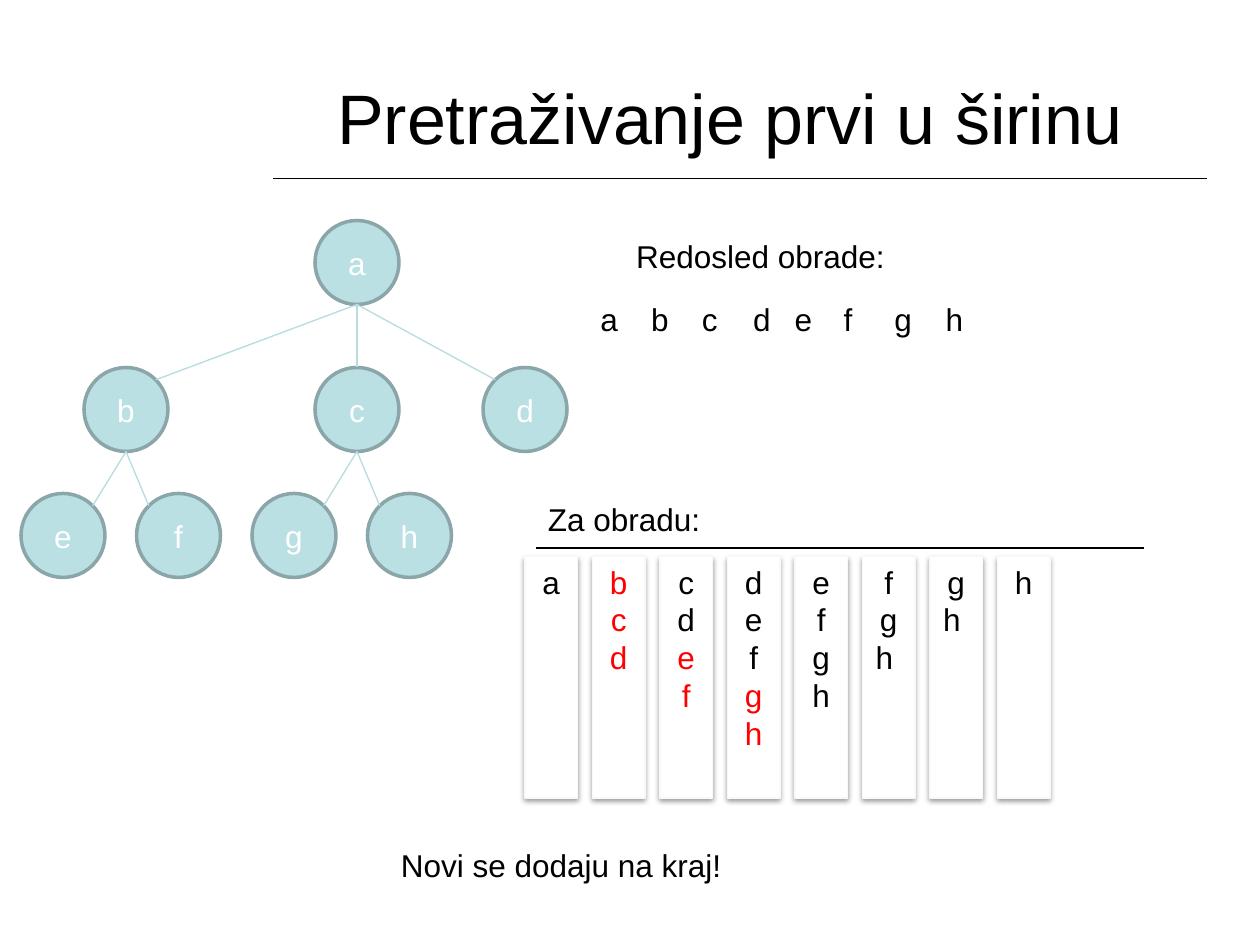
from dataclasses import dataclass
from math import sqrt
from typing import Any

from lxml.etree import SubElement
from pptx import Presentation
from pptx.dml.color import RGBColor
from pptx.enum.shapes import MSO_CONNECTOR, MSO_SHAPE
from pptx.enum.text import MSO_ANCHOR, PP_ALIGN
from pptx.oxml.ns import qn
from pptx.util import Pt


@dataclass(frozen=True)
class Theme:
    font: str = "Arial"
    head: float = 40
    body: float = 18
    ink: str = "000000"
    fresh: str = "FF0000"
    paper: str = "FFFFFF"
    edge: str = "F9F9F9"
    node: str = "BBE0E3"
    ring: str = "8AA6A8"
    link: str = "B6DCDF"


@dataclass(frozen=True)
class Node:
    name: str
    left: float
    top: float
    boss: str = ""


@dataclass(frozen=True)
class Label:
    text: str
    left: float
    top: float
    width: float


@dataclass(frozen=True)
class Queue:
    old: list[str]
    new: list[str]


theme = Theme()
deck = Presentation()
deck.slide_width, deck.slide_height = Pt(720), Pt(540)
slide = deck.slides.add_slide(deck.slide_layouts[6])


def apply(target: Any, form: dict[str, Any]) -> None:
    for key, value in form.items():
        setattr(target, key, value)


def write(frame: Any, rows: list[tuple[str, str]], size: float, align: Any) -> None:
    for i, (text, color) in enumerate(rows):
        para = frame.paragraphs[0] if i == 0 else frame.add_paragraph()
        para.alignment = align
        run = para.add_run()
        run.text = text
        apply(run.font, {"name": theme.font, "size": Pt(size)})
        run.font.color.rgb = RGBColor.from_string(color)


def add_label(label: Label) -> None:
    box = slide.shapes.add_textbox(Pt(label.left), Pt(label.top), Pt(label.width), Pt(29))
    box.text_frame.word_wrap = False
    write(box.text_frame, [(label.text, theme.ink)], theme.body, PP_ALIGN.LEFT)


def add_line(x1: float, y1: float, x2: float, y2: float, color: str) -> None:
    line = slide.shapes.add_connector(MSO_CONNECTOR.STRAIGHT, Pt(x1), Pt(y1), Pt(x2), Pt(y2))
    line.line.width = Pt(0.75)
    line.line.color.rgb = RGBColor.from_string(color)
    SubElement(line._element.spPr, qn("a:effectLst"))


def add_form(kind: Any, left: float, top: float, width: float, height: float,
             fill: str, edge: str, weight: float) -> Any:
    shape = slide.shapes.add_shape(kind, Pt(left), Pt(top), Pt(width), Pt(height))
    shape.shadow.inherit = False
    shape.fill.solid()
    shape.fill.fore_color.rgb = RGBColor.from_string(fill)
    shape.line.color.rgb = RGBColor.from_string(edge)
    shape.line.width = Pt(weight)
    return shape


def add_shade(shape: Any) -> None:
    effects = shape._element.spPr.find(qn("a:effectLst"))
    form = {"blurRad": Pt(3.1), "dist": Pt(1.6), "dir": 5400000, "rotWithShape": 0}
    shade = SubElement(effects, qn("a:outerShdw"), {k: str(int(v)) for k, v in form.items()})
    color = SubElement(shade, qn("a:srgbClr"), val=theme.ink)
    SubElement(color, qn("a:alpha"), val="38000")


# Title and its rule
title = slide.shapes.add_textbox(Pt(150), Pt(21.6), Pt(534), Pt(90))
apply(title.text_frame, {"word_wrap": True, "vertical_anchor": MSO_ANCHOR.MIDDLE})
write(title.text_frame, [("Pretraživanje prvi u širinu", theme.ink)], theme.head, PP_ALIGN.CENTER)
add_line(156, 102, 690, 102, theme.ink)

# Tree nodes
SIZE = 48
nodes = [Node("a", 180, 126), Node("b", 48, 210, "a"), Node("c", 180, 210, "a"),
         Node("d", 276, 210, "a")]
nodes += [Node(name, 12 + 66 * i, 282, boss)
          for i, (name, boss) in enumerate(zip("efgh", "bbcc"))]
for node in nodes:
    disc = add_form(MSO_SHAPE.OVAL, node.left, node.top, SIZE, SIZE, theme.node, theme.ring, 2)
    disc.text_frame.vertical_anchor = MSO_ANCHOR.MIDDLE
    write(disc.text_frame, [(node.name, theme.paper)], theme.body, PP_ALIGN.CENTER)

# Tree links, from the foot of the parent to the near edge of the child
HALF = SIZE / 2
DIAG = HALF / sqrt(2)
by_name = {node.name: node for node in nodes}
for node in nodes:
    if node.boss:
        boss = by_name[node.boss]
        side = (boss.left > node.left) - (boss.left < node.left)
        rise = DIAG if side else HALF
        add_line(boss.left + HALF, boss.top + SIZE,
                 node.left + HALF + side * DIAG, node.top + HALF - rise, theme.link)

# Labels and visiting order
labels = [Label("Redosled obrade:", 356.4, 132, 157.7),
          Label("Za obradu:", 306, 282, 102.2),
          Label("Novi se dodaju na kraj!", 222, 480, 204.5)]
spots = [336, 365, 394, 423.2, 447, 475, 504, 533.3]
labels += [Label(name, left, 168, 19.4 if name == "f" else 24.4)
           for name, left in zip("abcdefgh", spots)]
for label in labels:
    add_label(label)

# Queue states, new entries in red
add_line(306, 313.2, 654, 313.2, theme.ink)
queues = [Queue(["a"], []), Queue([], ["b", "c", "d"]), Queue(["c", "d"], ["e", "f"]),
          Queue(["d", "e", "f"], ["g", "h"]), Queue(["e", "f", "g", "h"], []),
          Queue(["f", "g", "h "], []), Queue(["g", "h "], []), Queue(["h"], [])]
STEP = 270 / (len(queues) - 1)
for i, queue in enumerate(queues):
    card = add_form(MSO_SHAPE.RECTANGLE, 300 + STEP * i, 318, 30, 138,
                    theme.paper, theme.edge, 0.75)
    add_shade(card)
    card.text_frame.vertical_anchor = MSO_ANCHOR.TOP
    rows = [(name, theme.ink) for name in queue.old]
    rows += [(name, theme.fresh) for name in queue.new]
    write(card.text_frame, rows, theme.body, PP_ALIGN.CENTER)

deck.save("out.pptx")
